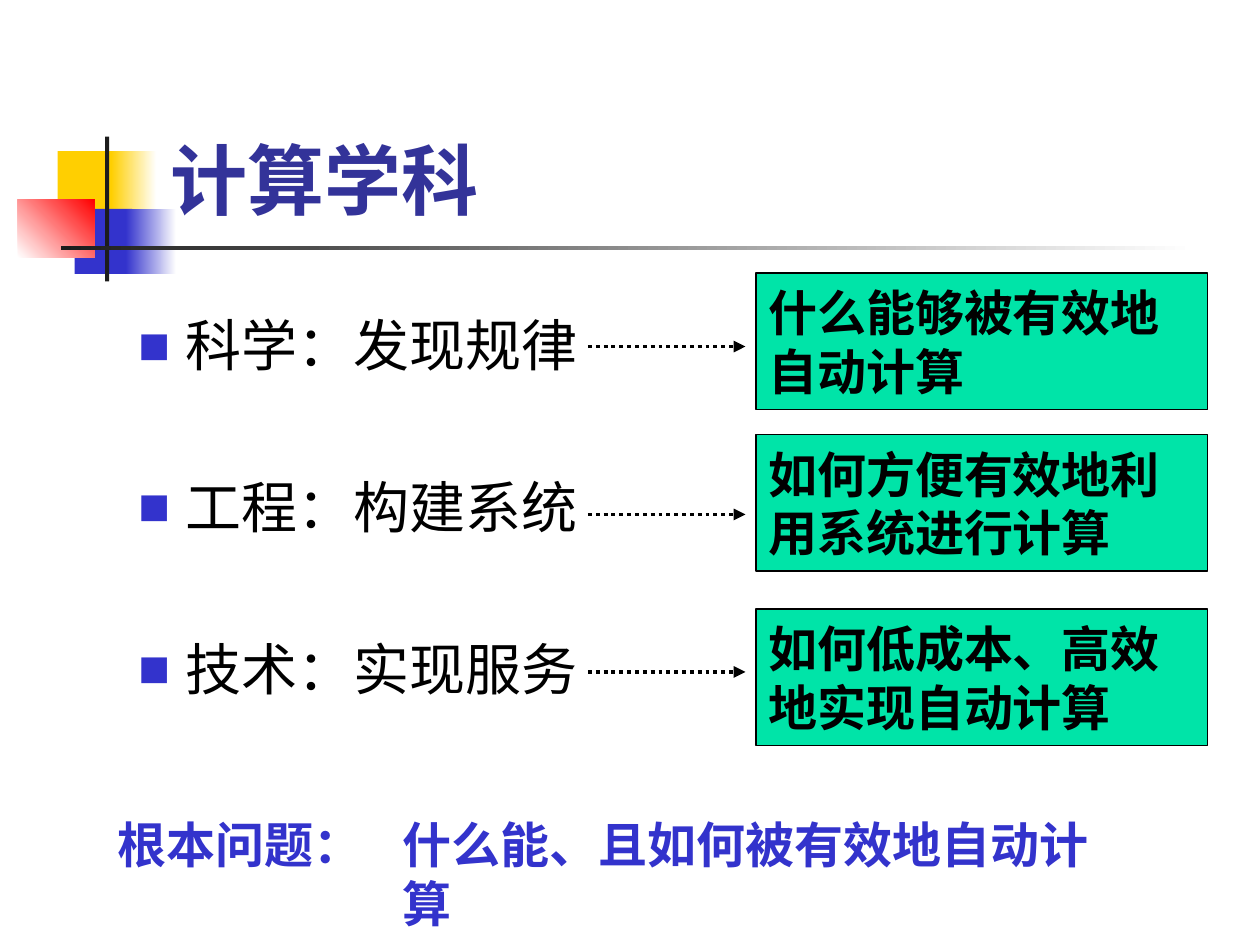
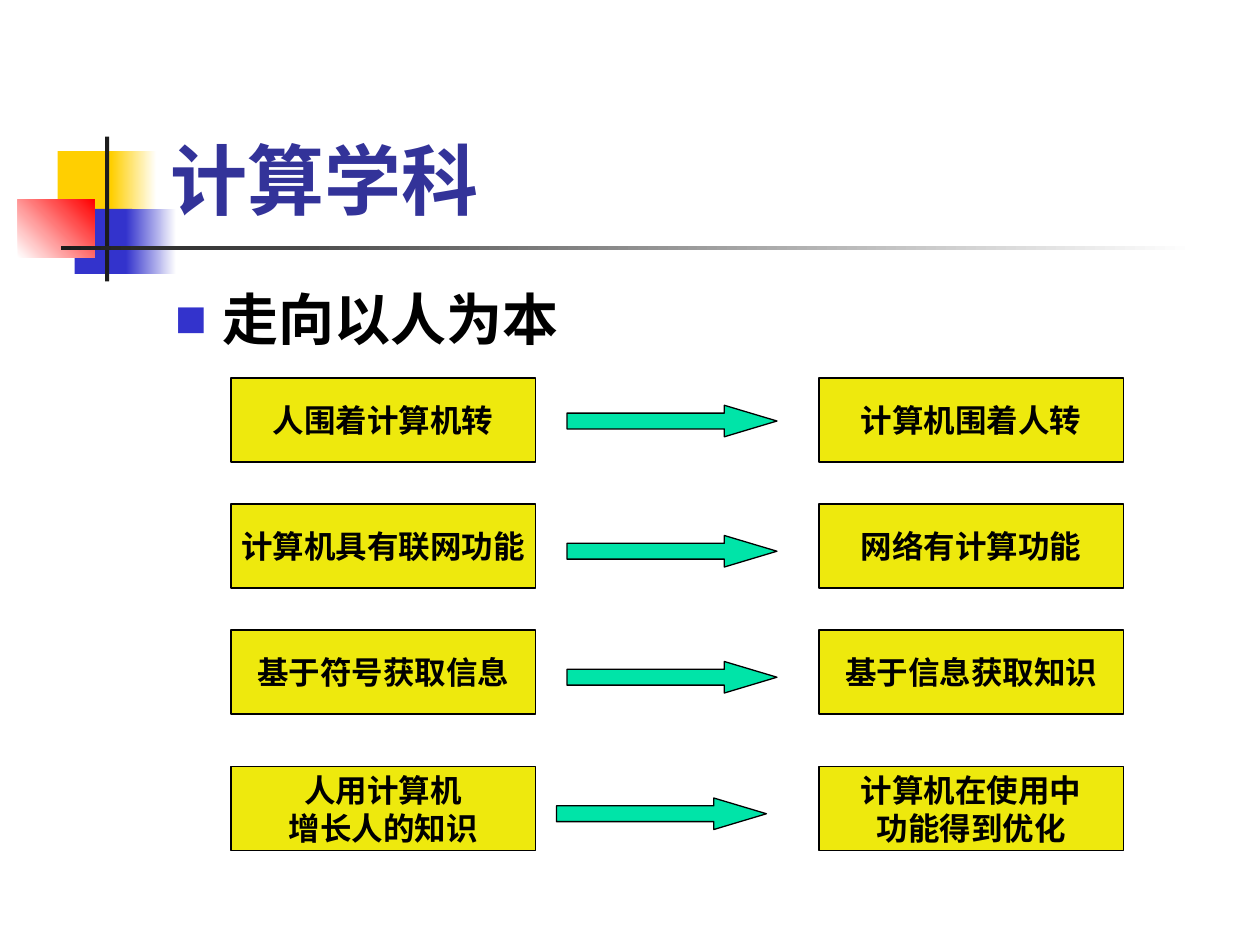
from lxml import etree
from pptx import Presentation
from pptx import util as u
from pptx.dml import color
from pptx.enum import dml, lang, shapes, text
from pptx.oxml import ns

SCALE = 7620  # EMU in one px, 120 px to the inch
FONT = "Cabin"
COLORS = {
    "yellow": "FFCF01", "blue": "3333CC", "red": "FF0000", "ink": "1C1C1C",
    "white": "FFFFFF", "black": "000000", "title": "333399",
    "green": "00E4A8", "lemon": "EEE90D",
}
TITLE_BOX = (151, 28, 1022, 192)
ORNAMENT_BOX = (17, 130, 1121, 138)


def px(*lengths):
    return [u.Emu(length * SCALE) for length in lengths]


def rgb(name):
    return color.RGBColor.from_string(COLORS[name])


def add_xml(parent, tag, **attributes):
    return etree.SubElement(parent, ns.qn(tag), attributes)


def format_text(frame, size, name, bold=True, align=text.PP_ALIGN.LEFT):
    for para in frame.paragraphs:
        para.alignment = align
        for span in para.runs:
            span.font.size = u.Pt(size)
            span.font.bold = bold
            span.font.name = FONT
            span.font.color.rgb = rgb(name)
            span.font.language_id = lang.MSO_LANGUAGE_ID.SIMPLIFIED_CHINESE
            add_xml(span.font._element, "a:ea", typeface=FONT)


def add_text(page, box, words, size, name, bold=True, wrap=True,
             anchor=text.MSO_ANCHOR.TOP):
    frame = page.shapes.add_textbox(*px(*box)).text_frame
    frame.word_wrap = wrap
    frame.vertical_anchor = anchor
    frame.text = words
    format_text(frame, size, name, bold)
    return frame


def add_block(page, box, fill, outlined=True, kind=shapes.MSO_SHAPE.RECTANGLE):
    block = page.shapes.add_shape(kind, *px(*box))
    block.shadow.inherit = False
    block.fill.solid()
    block.fill.fore_color.rgb = rgb(fill)
    if outlined:
        block.line.color.rgb = rgb("black")
        block.line.width = u.Pt(0.75)
    else:
        block.line.fill.background()
    return block


def add_label_block(page, box, words, fill, size, align, wrap):
    frame = add_block(page, box, fill).text_frame
    frame.word_wrap = wrap
    frame.vertical_anchor = text.MSO_ANCHOR.MIDDLE
    frame.text = words
    format_text(frame, size, "black", align=align)


def add_bullets(page, box, items, bold, gap=0):
    frame = add_text(page, box, "\n".join(items), 32, "black", bold)
    for index, para in enumerate(frame.paragraphs):
        if index:
            para.space_before = u.Pt(gap)
        props = para._p.get_or_add_pPr()
        props.set("marL", str(45 * SCALE))
        props.set("indent", str(-45 * SCALE))
        bullet_color = add_xml(props, "a:buClr")
        add_xml(bullet_color, "a:srgbClr", val=COLORS["blue"])
        add_xml(props, "a:buSzPct", val="60000")
        add_xml(props, "a:buFont", typeface=FONT)
        add_xml(props, "a:buChar", char="■")


def add_dotted_arrow(page, left, right, y):
    arrow = page.shapes.add_connector(
        shapes.MSO_CONNECTOR.STRAIGHT, *px(left, y, right, y))
    arrow.line.color.rgb = rgb("black")
    arrow.line.width = u.Pt(2.25)
    arrow.line.dash_style = dml.MSO_LINE.ROUND_DOT
    add_xml(arrow.line._get_or_add_ln(), "a:tailEnd", type="triangle")
    add_xml(arrow._element.spPr, "a:effectLst")


def add_ornament(page, box):
    """Coloured squares and crossing bars beside the title."""
    left, top, width, height = box
    parts = [  # x, y, width, height, start colour, end colour, angle
        (38, 14, 58, 62, "yellow", None, 0),
        (89, 14, 43, 62, "yellow", "white", 0),
        (54, 69, 55, 62, "blue", None, 0),
        (103, 69, 48, 62, "blue", "white", 0),
        (0, 60, 73, 55, "white", "red", 45),
        (83, 0, 4, height, "ink", None, 0),
        (41, 104, width - 41, 4, "ink", "white", 0),
    ]
    for x, y, part_width, part_height, start, end, angle in parts:
        block = add_block(page, (left + x, top + y, part_width, part_height),
                          start, outlined=False)
        if end:
            block.fill.gradient()
            block.fill.gradient_angle = angle
            for stop, name in zip(block.fill.gradient_stops, (start, end)):
                stop.color.rgb = rgb(name)


def add_page(deck, title):
    page = deck.slides.add_slide(deck.slide_layouts[6])
    add_ornament(page, ORNAMENT_BOX)
    add_text(page, TITLE_BOX, title, 44, "title",
             anchor=text.MSO_ANCHOR.BOTTOM)
    return page


def add_questions(page, box):
    """Each aspect of the discipline points to the question it asks."""
    left, top, width, _ = box
    rows = [  # aspect, question, block y, arrow y
        ("科学：发现规律", "什么能够被有效地\n自动计算", 0, 70),
        ("工程：构建系统", "如何方便有效地利\n用系统进行计算", 154, 230),
        ("技术：实现服务", "如何低成本、高效\n地实现自动计算", 320, 380),
    ]
    add_bullets(page, (left, top + 30, 524, 540),
                [row[0] for row in rows], bold=False, gap=54)
    for _, question, block_y, arrow_y in rows:
        add_label_block(page, (left + width - 430, top + block_y, 430, 130),
                        question, "green", 28, text.PP_ALIGN.LEFT, True)
        add_dotted_arrow(page, left + 440, left + 590, top + arrow_y)


def add_core_question(page, box):
    left, top, width, height = box
    add_text(page, (left, top, 270, height), "根本问题：", 28, "blue")
    add_text(page, (left + 272, top, width - 272, height),
             "什么能、且如何被有效地自动计算", 28, "blue", wrap=False)


def add_shifts(page, box):
    """Pairs of blocks, each joined by a block arrow."""
    left, top, width, _ = box
    rows = [  # before, after, y, arrow x, arrow y
        ("人围着计算机转", "计算机围着人转", 0, 320, 26),
        ("计算机具有联网功能", "网络有计算功能", 120, 320, 30),
        ("基于符号获取信息", "基于信息获取知识", 240, 320, 30),
        ("人用计算机\n增长人的知识", "计算机在使用中\n功能得到优化", 370, 310, 30),
    ]
    for before, after, y, arrow_x, arrow_y in rows:
        for x, words in ((0, before), (width - 290, after)):
            add_label_block(page, (left + x, top + y, 290, 80), words,
                            "lemon", 18, text.PP_ALIGN.CENTER, False)
        arrow = add_block(page, (left + arrow_x, top + y + arrow_y, 200, 30),
                          "green", kind=shapes.MSO_SHAPE.RIGHT_ARROW)
        arrow.adjustments[1] = 1.67


def main():
    deck = Presentation()
    deck.slide_width, deck.slide_height = px(1200, 900)

    page = add_page(deck, "计算学科")
    add_questions(page, (120, 260, 1030, 450))
    add_core_question(page, (100, 770, 994, 68))

    page = add_page(deck, "计算学科")
    add_bullets(page, (155, 265, 1020, 540), ["走向以人为本"], bold=True)
    add_shifts(page, (220, 360, 850, 450))

    deck.save("out.pptx")


if __name__ == "__main__":
    main()
